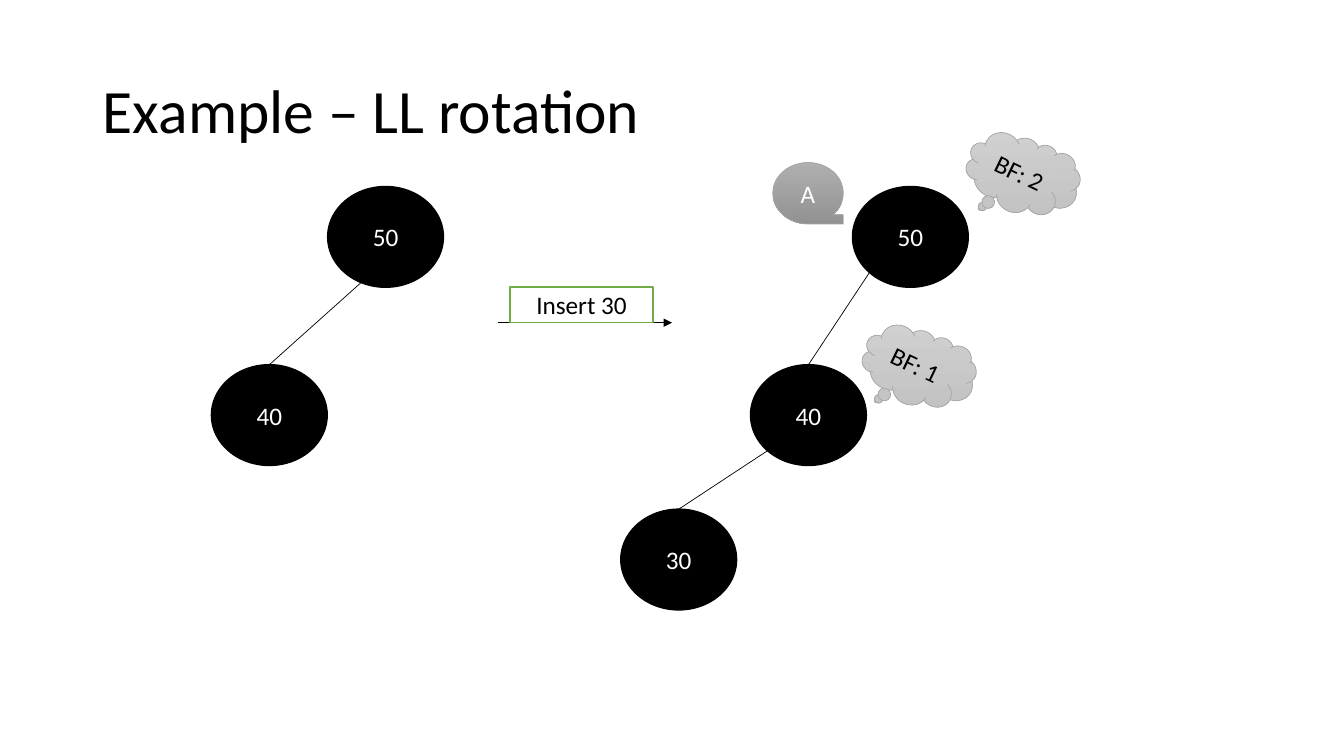
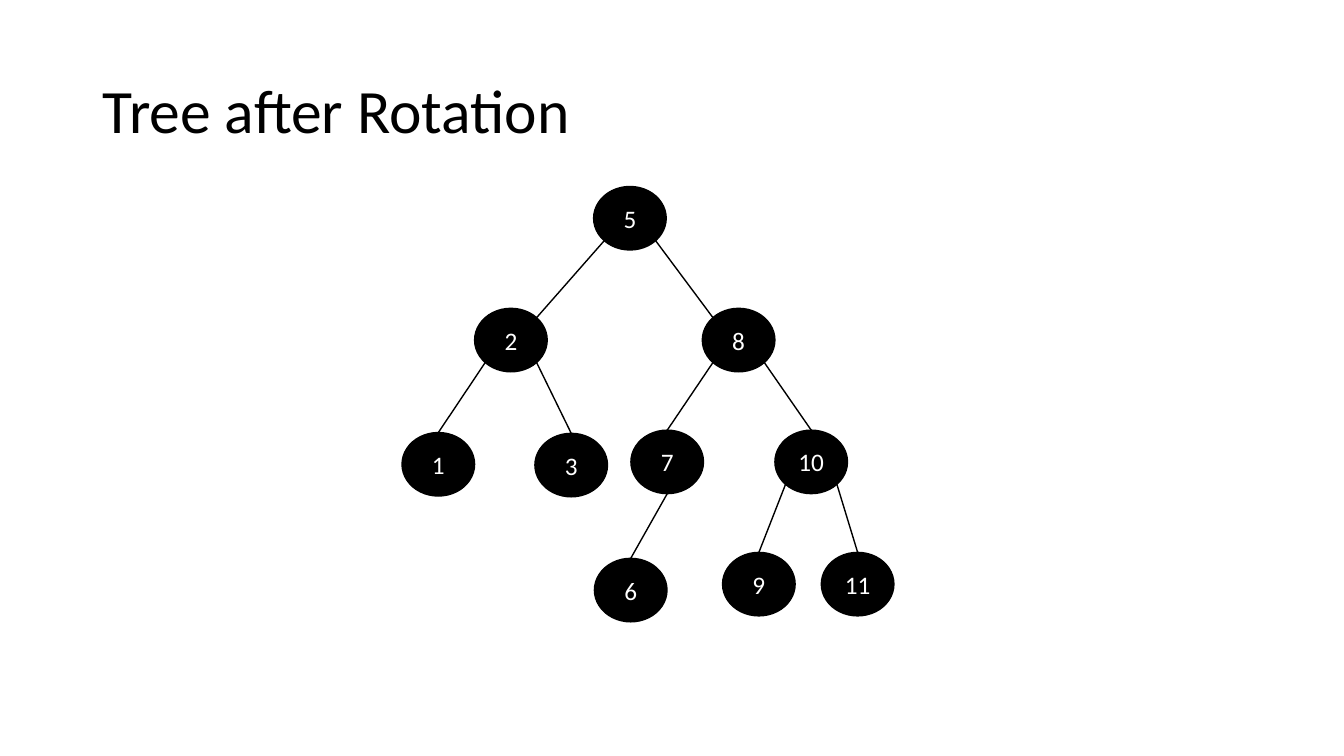
"""Build two slides on tree rotation: an LL example and the rotated tree."""
import math

from lxml import etree
from pptx import Presentation
from pptx import util as u
from pptx.dml.color import RGBColor
from pptx.enum import shapes, text
from pptx.oxml.ns import qn

FONT = "Calibri"
BLACK, WHITE, GREEN, GREY = "000000", "FFFFFF", "70AD47", "A5A5A5"
CLOUD_FILL = ("D2D2D2", "C0C0C0", 64)
TAPE_FILL = ("AFAFAF", "929292", 90)

SLIDE_SIZE = (33.88, 19.05)
TITLE_BOX = (2.34, 1.02, 29.21, 3.68)
CLOUD_SIZE = (2.9, 1.93)

TOP, TOP_RIGHT, BOTTOM_RIGHT = 270, 315, 45
BOTTOM, BOTTOM_STEEP_LEFT, BOTTOM_LEFT = 90, 115, 135

EXAMPLE = {
    "title": "Example – LL rotation",
    "size": (2.92, 2.54),
    "edge_width": 0.5,
    "trees": [
        {
            "nodes": {"50": (9.72, 5.97), "40": (6.79, 10.46)},
            "edges": [("50", BOTTOM_STEEP_LEFT, "40", TOP)],
        },
        {
            "nodes": {"50": (22.95, 5.97), "40": (20.38, 10.46), "30": (17.11, 14.1)},
            "edges": [("50", BOTTOM_LEFT, "40", TOP), ("40", BOTTOM_LEFT, "30", TOP)],
        },
    ],
}
ROTATED = {
    "title": "Tree after Rotation",
    "size": (1.83, 1.6),
    "edge_width": 1,
    "trees": [
        {
            "nodes": {
                "5": (15.88, 5.5),
                "2": (12.88, 8.57), "8": (18.62, 8.57),
                "1": (11.05, 11.7), "3": (14.4, 11.72),
                "7": (16.82, 11.64), "10": (20.45, 11.64),
                "6": (15.9, 14.87), "9": (19.13, 14.72), "11": (21.62, 14.72),
            },
            "edges": [
                ("5", BOTTOM_LEFT, "2", TOP_RIGHT),
                ("5", BOTTOM_RIGHT, "8", 225),
                ("2", BOTTOM_LEFT, "1", TOP),
                ("2", BOTTOM_RIGHT, "3", TOP),
                ("8", BOTTOM_LEFT, "7", TOP),
                ("8", BOTTOM_RIGHT, "10", TOP),
                ("7", BOTTOM, "6", TOP),
                ("10", BOTTOM_LEFT, "9", TOP),
                ("10", BOTTOM_RIGHT, "11", TOP),
            ],
        },
    ],
}
BALANCE_FACTORS = [("BF: 2", (25.78, 4.42)), ("BF: 1", (23.16, 9.27))]
INSERT_ARROW = ((12.55, 8.13), (16.94, 8.13))


def rgb(value):
    return RGBColor.from_string(value)


def style_text(para, size, color, align):
    para.font.name = FONT
    para.font.size = u.Pt(size)
    para.font.color.rgb = rgb(color)
    para.alignment = align


def fill_shape(shape, fill):
    if isinstance(fill, str):
        shape.fill.solid()
        shape.fill.fore_color.rgb = rgb(fill)
        return
    start, end, clockwise = fill
    shape.fill.gradient()
    shape.fill.gradient_angle = 360 - clockwise
    for stop, color, position in zip(shape.fill.gradient_stops, (start, end), (0, 1)):
        stop.color.rgb = rgb(color)
        stop.position = position


def add_label(page, kind, label, center, size, fill, line, color, line_width=1):
    (x, y), (width, height) = center, size
    shape = page.shapes.add_shape(
        kind, u.Cm(x - width / 2), u.Cm(y - height / 2), u.Cm(width), u.Cm(height))
    shape.shadow.inherit = False
    fill_shape(shape, fill)
    shape.line.color.rgb = rgb(line)
    shape.line.width = u.Pt(line_width)
    frame = shape.text_frame
    frame.text = label
    frame.vertical_anchor = text.MSO_ANCHOR.MIDDLE
    style_text(frame.paragraphs[0], 18, color, text.PP_ALIGN.CENTER)
    return shape


def add_line(page, start, end, width, arrow=False):
    ends = [u.Cm(value) for value in (*start, *end)]
    line = page.shapes.add_connector(shapes.MSO_CONNECTOR.STRAIGHT, *ends)
    line.line.color.rgb = rgb(BLACK)
    line.line.width = u.Pt(width)
    properties = line._element.spPr
    if arrow:
        etree.SubElement(properties.find(qn("a:ln")), qn("a:tailEnd"), type="triangle")
    etree.SubElement(properties, qn("a:effectLst"))


def rim_point(center, size, angle):
    turn = math.radians(angle)
    return (center[0] + size[0] / 2 * math.cos(turn),
            center[1] + size[1] / 2 * math.sin(turn))


def add_tree(page, tree, size, edge_width):
    nodes = tree["nodes"]
    for label, center in nodes.items():
        add_label(page, shapes.MSO_SHAPE.OVAL, label, center, size, BLACK, BLACK, WHITE)
    for parent, leave, child, arrive in tree["edges"]:
        add_line(page, rim_point(nodes[parent], size, leave),
                 rim_point(nodes[child], size, arrive), edge_width)


def add_page(deck, content):
    page = deck.slides.add_slide(deck.slide_layouts[5])
    title = page.shapes.title
    title.left, title.top, title.width, title.height = map(u.Cm, TITLE_BOX)
    title.text_frame.text = content["title"]
    title.text_frame.vertical_anchor = text.MSO_ANCHOR.MIDDLE
    para = title.text_frame.paragraphs[0]
    para.line_spacing = 0.9
    style_text(para, 44, BLACK, text.PP_ALIGN.LEFT)
    for tree in content["trees"]:
        add_tree(page, tree, content["size"], content["edge_width"])
    return page


def add_annotations(page):
    add_line(page, *INSERT_ARROW, 0.5, arrow=True)
    add_label(page, shapes.MSO_SHAPE.RECTANGLE, "Insert 30", (14.66, 7.68),
              (3.61, 0.89), WHITE, GREEN, BLACK)
    for label, center in BALANCE_FACTORS:
        cloud = add_label(page, shapes.MSO_SHAPE.CLOUD_CALLOUT, label, center,
                          CLOUD_SIZE, CLOUD_FILL, GREY, BLACK, 0.5)
        cloud.rotation = 25.6
    add_label(page, shapes.MSO_SHAPE.FLOWCHART_SEQUENTIAL_ACCESS_STORAGE, "A",
              (20.37, 4.87), (1.78, 1.55), TAPE_FILL, GREY, WHITE, 0.5)


def main():
    deck = Presentation()
    deck.slide_width, deck.slide_height = map(u.Cm, SLIDE_SIZE)
    add_annotations(add_page(deck, EXAMPLE))
    add_page(deck, ROTATED)
    deck.save("out.pptx")


if __name__ == "__main__":
    main()
